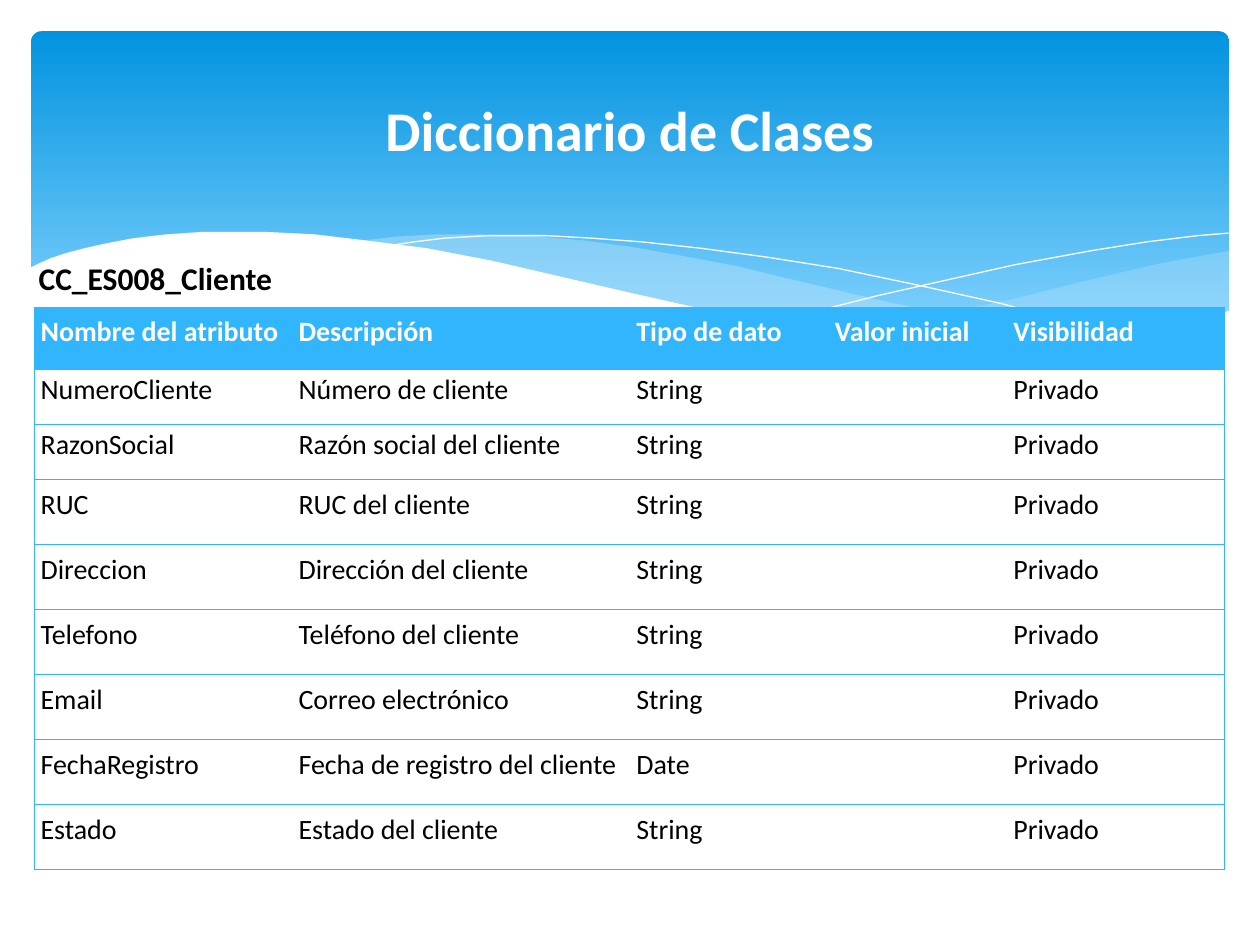
"""Build the class dictionary slide with its wave banner and attribute table."""
import pptx
import pptx.dml.color
import pptx.enum.shapes
import pptx.enum.text
import pptx.oxml
import pptx.oxml.ns
import pptx.util
from pptx.util import Cm

WHITE = pptx.dml.color.RGBColor(0xFF, 0xFF, 0xFF)
BLACK = pptx.dml.color.RGBColor(0, 0, 0)
BLUE = pptx.dml.color.RGBColor(0x31, 0xB6, 0xFD)
BANNER_TOP = pptx.dml.color.RGBColor(0x02, 0x93, 0xE0)
BANNER_BOTTOM = pptx.dml.color.RGBColor(0x83, 0xD3, 0xFE)
PALE_BLUE = pptx.dml.color.RGBColor(0xC6, 0xE7, 0xFC)
NAMESPACE = pptx.oxml.ns.nsdecls("a")
NO_STYLE_NO_GRID = "{2D5ABB26-0587-4C30-8999-92F81FD0307C}"
WAVE_UNIT = Cm(0.0254)


def write(frame, text, size=16, color=BLACK, bold=False, align=None,
          spacing=None, anchor=None):
    paragraph = frame.paragraphs[0]
    paragraph.alignment = align
    paragraph.line_spacing = spacing
    if anchor is not None:
        frame.vertical_anchor = anchor
    run = paragraph.add_run()
    run.text = text
    run.font.name = "Calibri"
    run.font.size = pptx.util.Pt(size)
    run.font.bold = bold
    run.font.color.rgb = color


presentation = pptx.Presentation()
presentation.slide_width = Cm(25.4)
presentation.slide_height = Cm(19.05)
slide = presentation.slides.add_slide(presentation.slide_layouts[5])
shapes = slide.shapes

banner = shapes.add_shape(pptx.enum.shapes.MSO_SHAPE.ROUNDED_RECTANGLE,
                          Cm(0.63), Cm(0.63), Cm(24.15), Cm(6.86))
banner.adjustments[0] = 0.03
banner.shadow.inherit = False
banner.line.fill.background()
banner.fill.gradient()
banner.fill.gradient_angle = 270
for stop, color, position in zip(banner.fill.gradient_stops,
                                 (BANNER_TOP, BANNER_BOTTOM), (0, 0.9)):
    stop.color.rgb = color
    stop.position = position

right_wave = [
    (976, 199), (948, 204), (921, 209), (891, 216), (861, 223), (805, 237),
    (753, 248), (706, 257), (661, 265), (691, 269), (732, 274), (769, 277),
    (803, 278), (844, 277), (881, 273), (913, 267), (942, 259), (976, 247)]
middle_wave = [
    (893, 273), (837, 265), (775, 254), (706, 240), (629, 222), (584, 211),
    (541, 203), (501, 196), (465, 191), (420, 187), (380, 186), (344, 186),
    (313, 188), (286, 191), (323, 196), (362, 203), (404, 211), (449, 222),
    (530, 240), (601, 255), (665, 266), (722, 274), (773, 277), (818, 278),
    (857, 277), (893, 273)]
falling_line = [
    (309, 195), (328, 192), (353, 189), (387, 187), (433, 187), (469, 189),
    (510, 192), (556, 197), (608, 204), (665, 213), (727, 226), (795, 241),
    (868, 261), (907, 272)]
rising_line = [
    (613, 257), (652, 246), (695, 235), (748, 223), (806, 210), (866, 199),
    (910, 192), (951, 187), (975, 185)]
white_wave = [
    (977, 246), (950, 256), (920, 265), (887, 271), (850, 275), (809, 277),
    (761, 275), (708, 270), (647, 262), (579, 250), (503, 233), (447, 220),
    (391, 207), (339, 197), (292, 191), (250, 186), (211, 184), (161, 184),
    (132, 186), (106, 189), (85, 193), (67, 197), (52, 201), (40, 205),
    (29, 210), (23, 213), (23, 329), (977, 329)]

for points, color, opacity in ((right_wave, PALE_BLUE, 29),
                               (middle_wave, PALE_BLUE, 40),
                               (falling_line, None, 100),
                               (rising_line, None, 100),
                               (white_wave, WHITE, 100)):
    builder = shapes.build_freeform(*points[0], scale=WAVE_UNIT)
    builder.add_line_segments(points[1:], close=color is not None)
    wave = builder.convert_to_shape()
    wave.shadow.inherit = False
    if color is None:
        wave.fill.background()
        wave.line.color.rgb = WHITE
        wave.line.width = 0
        continue
    wave.line.fill.background()
    wave.fill.solid()
    wave.fill.fore_color.rgb = color
    if opacity < 100:
        tint = wave._element.spPr.find(".//" + pptx.oxml.ns.qn("a:srgbClr"))
        tint.append(pptx.oxml.parse_xml(
            f'<a:alpha {NAMESPACE} val="{opacity * 1000}"/>'))

title = shapes.title
title.left, title.top, title.width, title.height = (
    Cm(1.27), Cm(0.94), Cm(22.86), Cm(3.48))
write(title.text_frame, "Diccionario de Clases", size=32, color=WHITE, bold=True,
      align=pptx.enum.text.PP_ALIGN.CENTER, spacing=0.9,
      anchor=pptx.enum.text.MSO_ANCHOR.MIDDLE)
shapes._spTree.append(title._element)

class_name = shapes.add_textbox(Cm(0.53), Cm(5.1), Cm(11.8), Cm(1.03))
class_name.text_frame.word_wrap = True
class_name.text_frame.auto_size = pptx.enum.text.MSO_AUTO_SIZE.SHAPE_TO_FIT_TEXT
write(class_name.text_frame, "CC_ES008_Cliente", size=18, bold=True)

headings = ("Nombre del atributo", "Descripción", "Tipo de dato",
            "Valor inicial", "Visibilidad")
attributes = (
    ("NumeroCliente", "Número de cliente", "String"),
    ("RazonSocial", "Razón social del cliente", "String"),
    ("RUC", "RUC del cliente", "String"),
    ("Direccion", "Dirección del cliente", "String"),
    ("Telefono", "Teléfono del cliente", "String"),
    ("Email", "Correo electrónico", "String"),
    ("FechaRegistro", "Fecha de registro del cliente", "Date"),
    ("Estado", "Estado del cliente", "String"))
rows = [headings] + [(*attribute, "", "Privado") for attribute in attributes]
column_widths = (5.2, 6.81, 4, 3.6, 4.39)
row_heights = [1.23] + [1.11] * 2 + [1.31] * 6

table = shapes.add_table(len(rows), len(headings), Cm(0.69), Cm(6.21),
                         Cm(sum(column_widths)), Cm(sum(row_heights))).table
table.horz_banding = False
table._tbl.tblPr.find(pptx.oxml.ns.qn("a:tableStyleId")).text = NO_STYLE_NO_GRID
for column, width in zip(table.columns, column_widths):
    column.width = Cm(width)
for row, height in zip(table.rows, row_heights):
    row.height = Cm(height)

for row_index, row in enumerate(rows):
    for column_index, text in enumerate(row):
        cell = table.cell(row_index, column_index)
        cell.margin_left = cell.margin_right = Cm(0.13)
        cell.margin_top = cell.margin_bottom = 0
        cell.vertical_anchor = pptx.enum.text.MSO_ANCHOR.MIDDLE
        sides = "TB"
        if column_index == 0:
            sides = "LTB"
        elif column_index == len(headings) - 1:
            sides = "RTB"
        for side in sides:
            cell._tc.get_or_add_tcPr().append(pptx.oxml.parse_xml(
                f'<a:ln{side} {NAMESPACE} w="{pptx.util.Pt(0.75)}"><a:solidFill>'
                f'<a:srgbClr val="{BLUE}"/></a:solidFill></a:ln{side}>'))
        is_heading = row_index == 0
        if is_heading:
            cell.fill.solid()
            cell.fill.fore_color.rgb = BLUE
        else:
            cell.fill.background()
        if text:
            write(cell.text_frame, text, color=WHITE if is_heading else BLACK,
                  bold=is_heading, spacing=pptx.util.Pt(12))

presentation.save("out.pptx")
